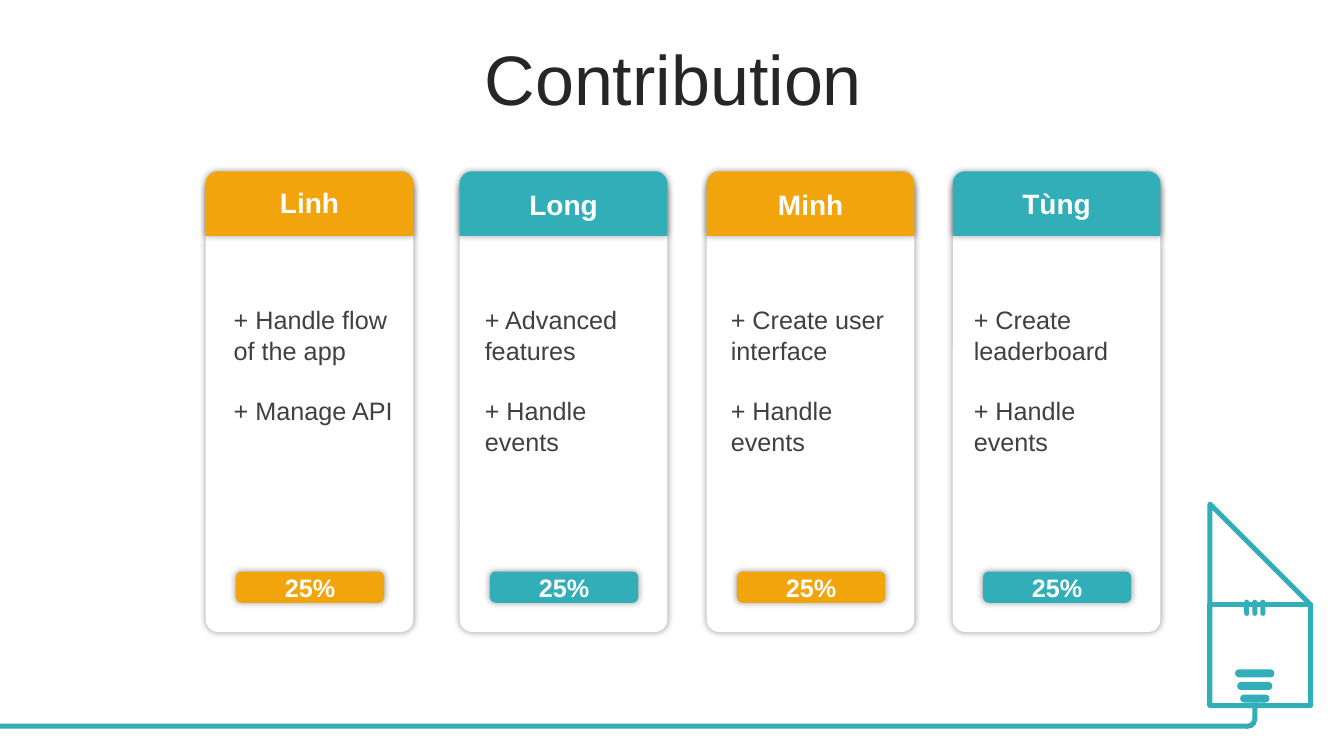
from math import cos, radians, sin

from lxml import etree
from pptx import Presentation
from pptx.dml.color import RGBColor
from pptx.enum.shapes import MSO_SHAPE
from pptx.enum.text import MSO_ANCHOR, PP_ALIGN
from pptx.oxml.ns import qn
from pptx.util import Inches, Pt

RECT = MSO_SHAPE.RECTANGLE
ROUND = MSO_SHAPE.ROUNDED_RECTANGLE
TAB = MSO_SHAPE.ROUND_2_SAME_RECTANGLE
ARC = MSO_SHAPE.BLOCK_ARC
LEFT, MID = PP_ALIGN.LEFT, PP_ALIGN.CENTER
TOP, CENTER = MSO_ANCHOR.TOP, MSO_ANCHOR.MIDDLE

WHITE = RGBColor(0xFF, 0xFF, 0xFF)
TEAL = RGBColor(0x32, 0xAE, 0xB8)
AMBER = RGBColor(0xF2, 0xA4, 0x0D)
INK = RGBColor(0x26, 0x26, 0x26)
GREY = RGBColor(0x40, 0x40, 0x40)

deck = Presentation()
deck.slide_width, deck.slide_height = Inches(13.33), Inches(7.5)
slide = deck.slides.add_slide(deck.slide_layouts[6])
shapes = slide.shapes


def block(kind, box, color, adjust=(), glow=False):
    """Add a filled preset shape, with a soft shadow if glow is set."""
    shape = shapes.add_shape(kind, *[Inches(n) for n in box])
    shape.shadow.inherit = False
    shape.fill.solid()
    shape.fill.fore_color.rgb = color
    shape.line.fill.background()
    for i, value in enumerate(adjust):
        shape.adjustments[i] = value
    if glow:
        effects = shape._element.spPr.find(qn("a:effectLst"))
        outer = etree.SubElement(effects, qn("a:outerShdw"), blurRad=str(Pt(5)),
                                 dist="0", dir="0", algn="ctr", rotWithShape="0")
        black = etree.SubElement(outer, qn("a:srgbClr"), val="000000")
        etree.SubElement(black, qn("a:alpha"), val="40000")
    return shape


def write(shape, text, size, color, bold=False, align=MID, anchor=TOP):
    """Fill a shape with text in one format."""
    frame = shape.text_frame
    frame.word_wrap = True
    frame.vertical_anchor = anchor
    frame.text = text
    for para in frame.paragraphs:
        para.alignment = align
        for run in para.runs:
            font = run.font
            font.name, font.size, font.bold = "Arial", Pt(size), bold
            font.color.rgb = color
    return frame


# Bulb glass: a round top, then a neck with rounded corners
mid, low, arc = 12.445, 5.945, 0.447
glass = [(mid + arc * cos(radians(a)), low + arc * sin(radians(a)))
         for a in range(135, 406, 5)]
neck, foot, bend = 0.205, 6.57, 0.085
glass.append((mid + neck, 6.37))
for side, start in ((1, 0), (-1, 90)):
    for a in range(start, start + 91, 15):
        glass.append((mid + side * (neck - bend) + bend * cos(radians(a)),
                      foot - bend + bend * sin(radians(a))))
glass.append((mid - neck, 6.37))

# Filament legs
legs = [(12.34, 6.55), (12.3, 6.04), (12.59, 6.04), (12.55, 6.55)]

for points, closed in ((glass, True), (legs, False)):
    pen = shapes.build_freeform(*points[0], scale=Inches(1))
    pen.add_line_segments(points[1:], close=closed)
    wire = pen.convert_to_shape()
    wire.shadow.inherit = False
    wire.fill.background()
    wire.line.color.rgb = TEAL
    wire.line.width = Pt(3.5)

# Filament prongs and screw base
for i in range(3):
    block(ROUND, (12.34 + i * 0.08, 5.95, 0.05, 0.16), TEAL, (0.5,))
for i, wide in enumerate((0.39, 0.35, 0.29)):
    block(ROUND, (mid - wide / 2, 6.64 + i * 0.125, wide, 0.08), TEAL, (0.5,))

# Cable
block(RECT, (0, 7.18, 12.37, 0.05), TEAL)
block(RECT, (12.42, 6.97, 0.05, 0.17), TEAL)
block(ARC, (12.28, 7.04, 0.19, 0.19), TEAL, (213.39, 60.92, 0.27))

# Title
box = shapes.add_textbox(*[Inches(n) for n in (0.35, 0.37, 12.66, 0.79)])
write(box, "Contribution", 50, INK, anchor=CENTER)

# Cards: left, name, name top, color, text left, tasks
cards = (
    (2.04, "Linh", 1.79, AMBER, 2.22, "+ Handle flow of the app\n+ Manage API"),
    (4.56, "Long", 1.81, TEAL, 4.71, "+ Advanced features\n+ Handle events"),
    (7.01, "Minh", 1.81, AMBER, 7.15, "+ Create user interface\n+ Handle events"),
    (9.45, "Tùng", 1.8, TEAL, 9.56, "+ Create leaderboard\n+ Handle events"),
)
wide = 2.06
for left, name, top, color, inset, tasks in cards:
    block(ROUND, (left, 1.78, wide, 4.49), WHITE, (0.06,), True)
    block(TAB, (left, 1.7, wide, 0.64), color, (0.19, 0), True)
    pill = block(ROUND, (left + 0.3, 5.67, 1.47, 0.31), color, (0.18,), True)
    write(pill, "25%", 18, WHITE, True, anchor=CENTER)

    box = shapes.add_textbox(Inches(left + (wide - 0.98) / 2), Inches(top),
                             Inches(0.98), Inches(0.44))
    write(box, name, 20, WHITE, True)

    box = shapes.add_textbox(Inches(inset), Inches(2.97), Inches(1.8), Inches(1.62))
    frame = write(box, tasks, 18, GREY, align=LEFT)
    for para in frame.paragraphs:
        para.line_spacing = Pt(21.7)
    frame.paragraphs[1].space_before = Pt(21.7)

deck.save("out.pptx")
